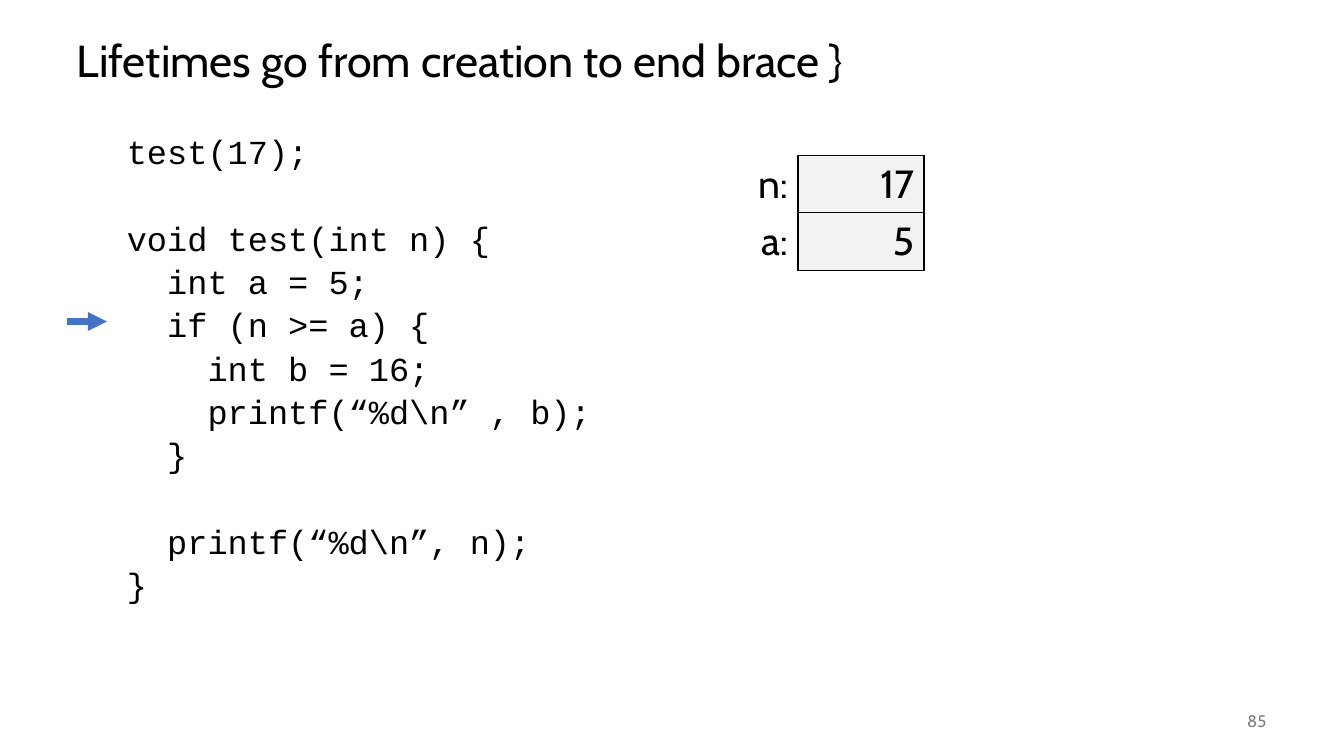
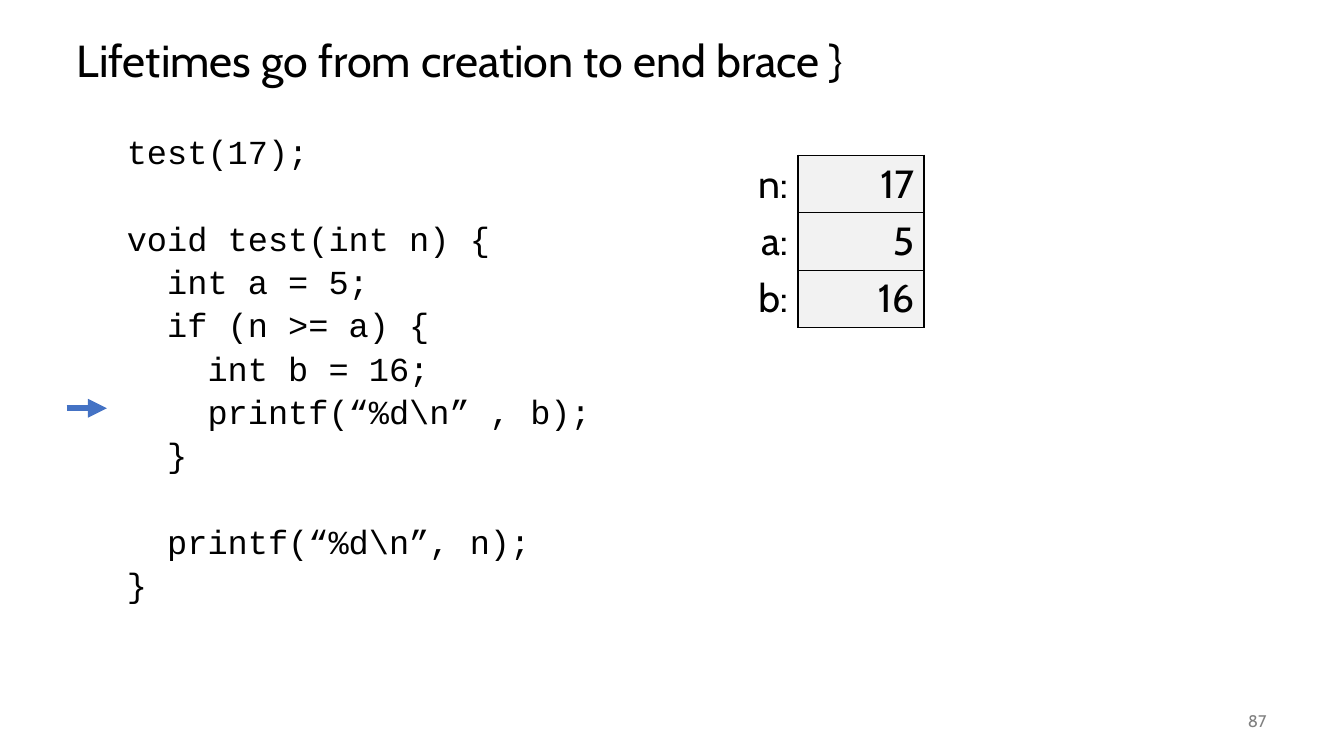
from lxml.etree import SubElement
from pptx import Presentation
from pptx.dml.color import RGBColor
from pptx.enum.shapes import MSO_CONNECTOR
from pptx.enum.text import MSO_ANCHOR, MSO_AUTO_SIZE, PP_ALIGN
from pptx.oxml.ns import qn
from pptx.util import Inches, Pt

COLORS = {
    "text": "000000",
    "number": "808080",
    "value": "F2F2F2",
    "border": "000000",
    "arrow": "4472C4",
}
TITLE = "Lifetimes go from creation to end brace }"
CODE = [
    "test(17);",
    "",
    "void test(int n) {",
    "  int a = 5;",
    "  if (n >= a) {",
    "    int b = 16;",
    "    printf(“%d\\n” , b);",
    "  }",
    "",
    "  printf(“%d\\n”, n);",
    "}",
]
STEPS = [
    {"number": "85", "code_row": 4, "variables": [("n:", "17"), ("a:", "5")]},
    {"number": "87", "code_row": 6,
     "variables": [("n:", "17"), ("a:", "5"), ("b:", "16")]},
]

WIDTH, HEIGHT = 13.33, 7.5
MARGIN = 0.66
CONTENT_WIDTH = 12
CODE_TOP = 1.22
CODE_PITCH = 0.43
FIRST_ROW_MIDDLE = 1.47
ARROW_LENGTH = 0.4
COLUMN_WIDTH, ROW_HEIGHT = 1.25, 0.57


def rgb(name):
    """Return the palette colour with this name."""
    return RGBColor.from_string(COLORS[name])


def write(frame, lines, size, font="Cabin", color="text", align=PP_ALIGN.LEFT,
          anchor=MSO_ANCHOR.MIDDLE, spacing=None):
    """Write lines as paragraphs, turning empty lines into space before the next."""
    frame.word_wrap = True
    gap, first = 0, True
    for line in lines:
        if not line:
            gap += 1
            continue
        paragraph = frame.paragraphs[0] if first else frame.add_paragraph()
        first = False
        paragraph.text = line
        paragraph.alignment = align
        paragraph.line_spacing = spacing
        paragraph.space_before = Inches(gap * CODE_PITCH)
        paragraph.font.size = Pt(size)
        paragraph.font.name = font
        paragraph.font.color.rgb = rgb(color)
        gap = 0
    frame.vertical_anchor = anchor


def add_text(slide, box, lines, **text_format):
    """Add a text box at left, top, width and height in inches."""
    frame = slide.shapes.add_textbox(*map(Inches, box)).text_frame
    write(frame, lines, **text_format)


def add_title(slide):
    """Place and format the title placeholder."""
    title = slide.shapes.title
    title.left, title.top = Inches(MARGIN), Inches(0.25)
    title.width, title.height = Inches(CONTENT_WIDTH), Inches(0.75)
    title.text_frame.auto_size = MSO_AUTO_SIZE.NONE
    write(title.text_frame, [TITLE], size=32, spacing=0.9)


def set_borders(cell, sides):
    """Draw thin borders on the given sides of a cell."""
    properties = cell._tc.get_or_add_tcPr()
    for side in sides:
        border = SubElement(properties, qn(f"a:ln{side}"), w=str(Pt(1)))
        fill = SubElement(border, qn("a:solidFill"))
        SubElement(fill, qn("a:srgbClr"), val=COLORS["border"])


def add_memory(slide, variables):
    """Add the table of variable names and values."""
    memory = slide.shapes.add_table(
        len(variables), 2, Inches(WIDTH / 2), Inches(1.54),
        Inches(2 * COLUMN_WIDTH), Inches(ROW_HEIGHT * len(variables))).table
    memory.first_row = memory.horz_banding = False
    for column in memory.columns:
        column.width = Inches(COLUMN_WIDTH)
    for row, variable in enumerate(variables):
        for column, text in enumerate(variable):
            cell = memory.cell(row, column)
            set_borders(cell, "LRTB" if column else "R")
            if column:
                cell.fill.solid()
                cell.fill.fore_color.rgb = rgb("value")
            else:
                cell.fill.background()
            write(cell.text_frame, [text], size=28, align=PP_ALIGN.RIGHT,
                  anchor=MSO_ANCHOR.TOP)


def add_arrow(slide, code_row):
    """Point at the code row being executed."""
    middle = Inches(FIRST_ROW_MIDDLE + code_row * CODE_PITCH)
    arrow = slide.shapes.add_connector(
        MSO_CONNECTOR.STRAIGHT, Inches(MARGIN), middle,
        Inches(MARGIN + ARROW_LENGTH), middle)
    arrow.line.color.rgb = rgb("arrow")
    arrow.line.width = Pt(4.5)
    SubElement(arrow.line._get_or_add_ln(), qn("a:tailEnd"), type="triangle")
    SubElement(arrow._element.spPr, qn("a:effectLst"))


def main():
    """Build one slide for each step of the program."""
    deck = Presentation()
    deck.slide_width, deck.slide_height = Inches(WIDTH), Inches(HEIGHT)
    for step in STEPS:
        slide = deck.slides.add_slide(deck.slide_layouts[5])
        add_title(slide)
        add_text(slide, (MARGIN + 0.5, CODE_TOP, 5.4, CODE_PITCH * len(CODE) + 0.1),
                 CODE, size=24, font="Courier New", anchor=MSO_ANCHOR.TOP,
                 spacing=Inches(CODE_PITCH))
        add_text(slide, (MARGIN + CONTENT_WIDTH - 1, 6.95, 1, 0.4),
                 [step["number"]], size=12, color="number", align=PP_ALIGN.RIGHT)
        add_memory(slide, step["variables"])
        add_arrow(slide, step["code_row"])
    deck.save("out.pptx")


if __name__ == "__main__":
    main()
